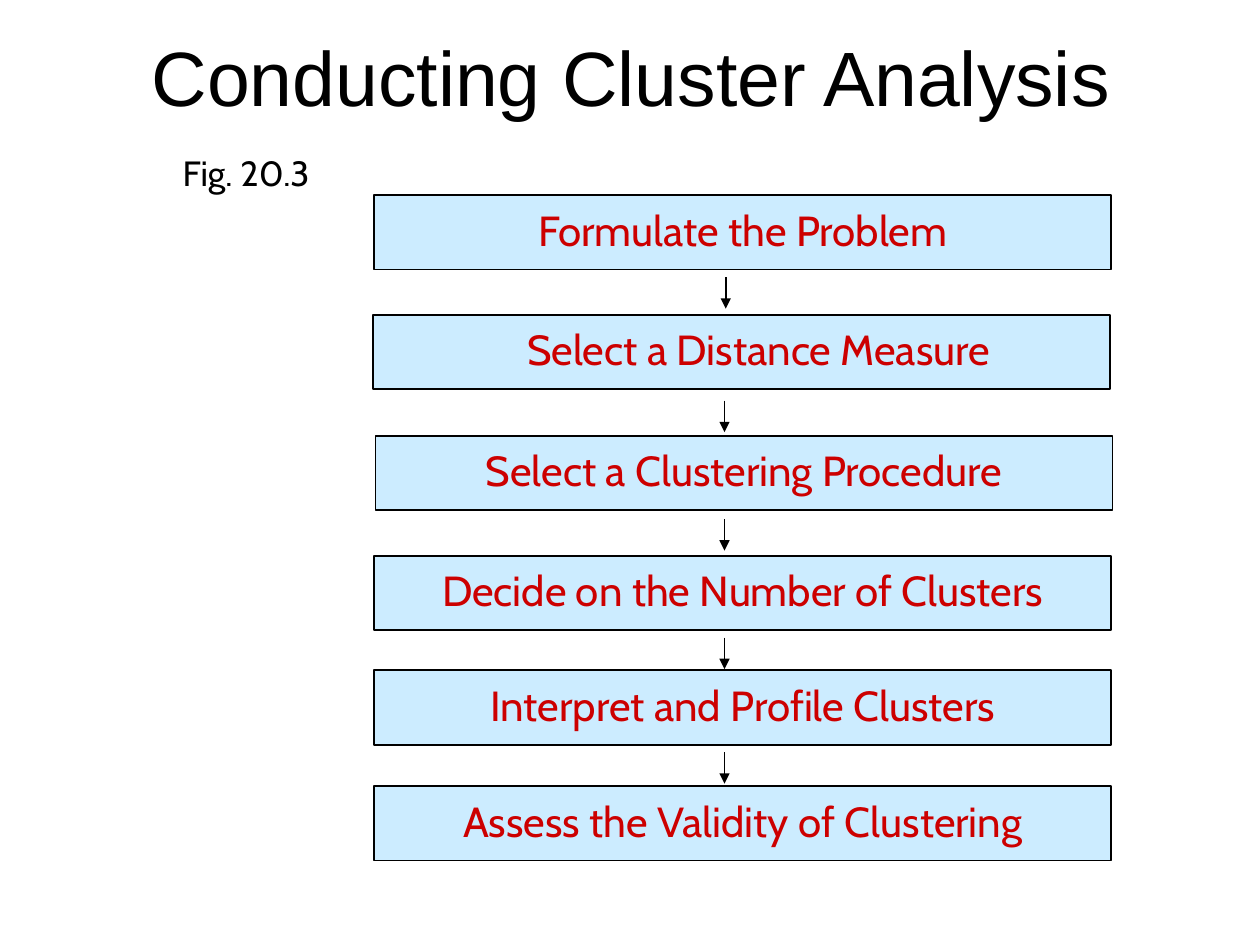
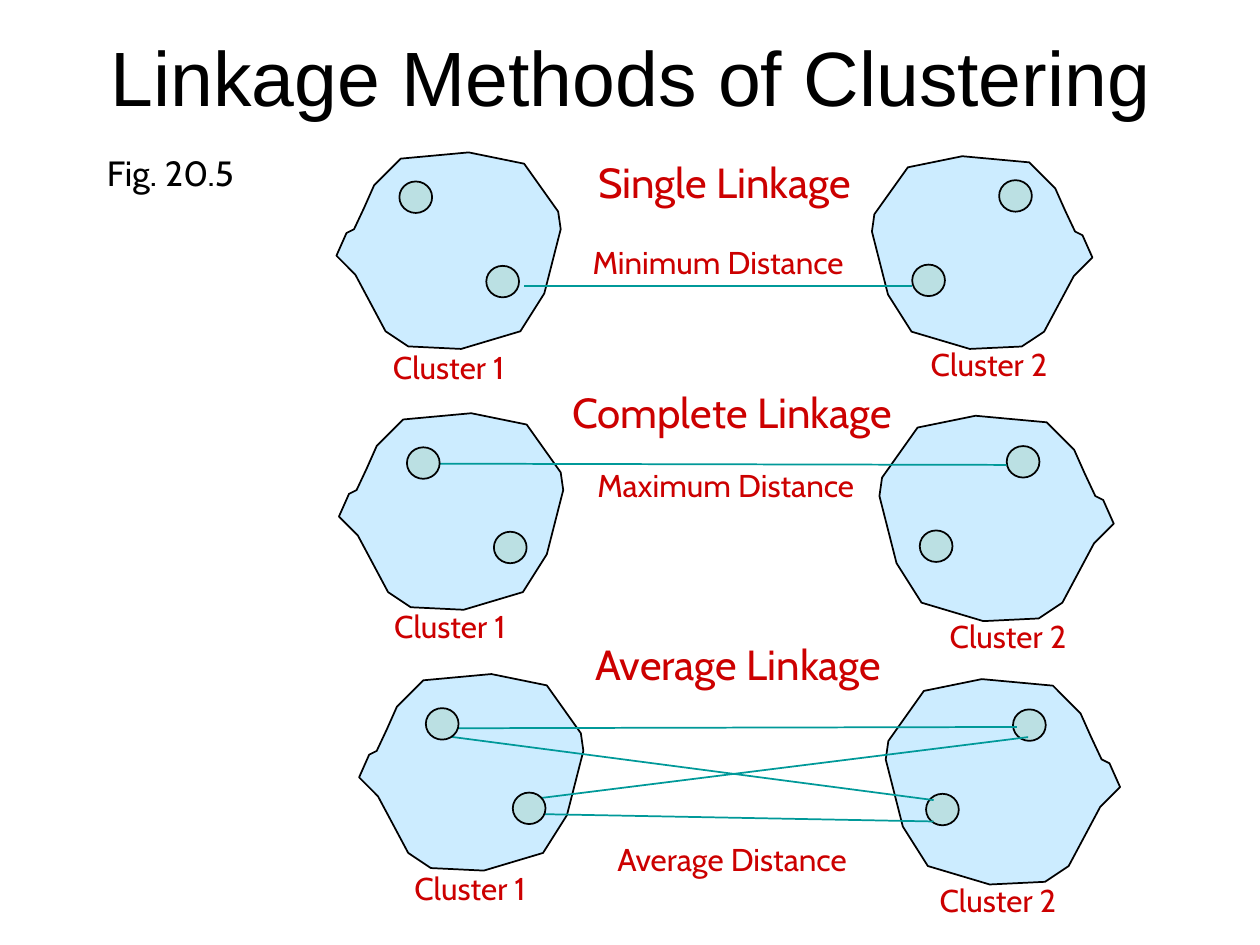
from dataclasses import dataclass
from typing import Optional

from lxml.etree import SubElement
from pptx import Presentation
from pptx.dml.color import RGBColor
from pptx.enum.shapes import MSO_CONNECTOR, MSO_SHAPE
from pptx.enum.text import MSO_ANCHOR, MSO_AUTO_SIZE, PP_ALIGN
from pptx.oxml.ns import qn
from pptx.util import Inches, Pt

BLACK = RGBColor(0x00, 0x00, 0x00)
RED = RGBColor(0xCC, 0x00, 0x00)
PALE_BLUE = RGBColor(0xCC, 0xEC, 0xFF)
DOT_BLUE = RGBColor(0xBB, 0xE0, 0xE3)
TEAL = RGBColor(0x00, 0x99, 0x99)
TITLE_FONT = "Arial"
LABEL_FONT = "Cabin"

STEP_WIDTH, STEP_HEIGHT = 5.85, 0.59
ARROW_LENGTH = 0.25
DOT_WIDTH, DOT_HEIGHT = 0.26, 0.25
NEAR_DOT_RIGHT, NEAR_DOT_DOWN = 0.69, 0.67
OUTLINE_WIDTH, OUTLINE_HEIGHT = 1.78, 1.56
OUTLINE = [
    (0.51, 0.05), (1.05, 0), (1.49, 0.09), (1.76, 0.47),
    (1.78, 0.61), (1.65, 1.12), (1.46, 1.42), (0.99, 1.56),
    (0.57, 1.54), (0.39, 1.42), (0.15, 0.97), (0, 0.82),
    (0.08, 0.64), (0.14, 0.61), (0.22, 0.44), (0.3, 0.26),
]


@dataclass
class Step:
    text: str
    left: float
    top: float
    arrow_top: Optional[float] = None
    arrow_x: float = 5.75
    text_indent: float = 0.1


@dataclass
class Label:
    text: str
    left: float
    top: float
    width: float
    size: int = 18
    color: RGBColor = RED
    align: PP_ALIGN = PP_ALIGN.CENTER


@dataclass
class Cluster:
    left: float
    top: float
    width: float
    height: float
    dot_left: float
    dot_top: float
    caption: Label
    mirrored: bool = False


@dataclass
class Linkage:
    heading: Label
    distance: Label
    first: Cluster
    second: Cluster
    lines: list


def caption(number: int, left: float, top: float) -> Label:
    return Label(f"Cluster {number}", left, top, 1.54)


def heading(text: str, left: float, top: float) -> Label:
    return Label(text, left, top, 3.92, 24)


STEPS = [
    Step("Formulate the Problem", 2.97, 1.55, 2.2, arrow_x=5.76),
    Step("Select a Distance Measure", 2.96, 2.5, 3.18, text_indent=0.37),
    Step("Select a Clustering Procedure", 2.98, 3.46, 4.12),
    Step("Decide on the Number of Clusters", 2.97, 4.41, 5.06),
    Step("Interpret and Profile Clusters", 2.97, 5.32, 5.97),
    Step("Assess the Validity of Clustering", 2.97, 6.24),
]

LINKAGES = [
    Linkage(
        heading("Single Linkage", 3.79, 1.19),
        Label("Minimum Distance", 4.57, 1.88, 2.26),
        Cluster(2.67, 1.21, 1.78, 1.56, 3.17, 1.44, caption(1, 2.79, 2.71)),
        Cluster(6.92, 1.24, 1.75, 1.53, 7.93, 1.43, caption(2, 7.08, 2.69), True),
        [(4.16, 2.27, 7.24, 2.27)],
    ),
    Linkage(
        heading("Complete Linkage", 3.85, 3.02),
        Label("Maximum Distance", 4.63, 3.65, 2.26),
        Cluster(2.69, 3.28, 1.78, 1.56, 3.23, 3.55, caption(1, 2.8, 4.77)),
        Cluster(6.98, 3.3, 1.86, 1.63, 7.99, 3.54, caption(2, 7.23, 4.85), True),
        [(3.45, 3.68, 7.99, 3.69)],
    ),
    Linkage(
        heading("Average Linkage", 3.9, 5.02),
        Label("Average Distance", 4.68, 6.62, 2.26),
        Cluster(2.85, 5.35, 1.78, 1.56, 3.38, 5.62, caption(1, 2.96, 6.85)),
        Cluster(7.03, 5.39, 1.86, 1.63, 8.04, 5.63, caption(2, 7.15, 6.94), True),
        [
            (4.22, 6.46, 7.41, 6.52),
            (3.51, 5.78, 8.07, 5.77),
            (3.52, 5.84, 7.41, 6.35),
            (8.16, 5.85, 4.16, 6.35),
        ],
    ),
]


def write(frame, text: str, font: str, size: int, color: RGBColor, align) -> None:
    frame.text = text
    para = frame.paragraphs[0]
    para.alignment = align
    para.font.name = font
    para.font.size = Pt(size)
    para.font.color.rgb = color


def style(shape, fill: RGBColor) -> None:
    shape.shadow.inherit = False
    shape.fill.solid()
    shape.fill.fore_color.rgb = fill
    shape.line.color.rgb = BLACK
    shape.line.width = Pt(1)


def add_label(page, label: Label) -> None:
    box = page.shapes.add_textbox(
        Inches(label.left), Inches(label.top), Inches(label.width), Inches(0.4)
    )
    box.text_frame.word_wrap = True
    write(box.text_frame, label.text, LABEL_FONT, label.size, label.color, label.align)


def add_line(page, ends: tuple, color: RGBColor, arrow: bool = False) -> None:
    line = page.shapes.add_connector(
        MSO_CONNECTOR.STRAIGHT, *(Inches(value) for value in ends)
    )
    line.line.color.rgb = color
    line.line.width = Pt(1)
    if arrow:
        SubElement(line.line._get_or_add_ln(), qn("a:tailEnd"), type="triangle")
    SubElement(line._element.spPr, qn("a:effectLst"))


def add_step(page, step: Step) -> None:
    box = page.shapes.add_shape(
        MSO_SHAPE.RECTANGLE,
        Inches(step.left), Inches(step.top), Inches(STEP_WIDTH), Inches(STEP_HEIGHT),
    )
    style(box, PALE_BLUE)
    frame = box.text_frame
    frame.vertical_anchor = MSO_ANCHOR.MIDDLE
    frame.margin_left = Inches(step.text_indent)
    frame.margin_bottom = Inches(0.1)
    write(frame, step.text, LABEL_FONT, 24, RED, PP_ALIGN.CENTER)
    if step.arrow_top is not None:
        ends = (step.arrow_x, step.arrow_top, step.arrow_x, step.arrow_top + ARROW_LENGTH)
        add_line(page, ends, BLACK, arrow=True)


def add_outline(page, cluster: Cluster) -> None:
    points = []
    for x, y in OUTLINE:
        across = x / OUTLINE_WIDTH
        if cluster.mirrored:
            across = 1 - across
        down = y / OUTLINE_HEIGHT
        points.append((
            Inches(cluster.left + across * cluster.width),
            Inches(cluster.top + down * cluster.height),
        ))
    builder = page.shapes.build_freeform(*points[0])
    builder.add_line_segments(points[1:], close=True)
    style(builder.convert_to_shape(), PALE_BLUE)
    add_label(page, cluster.caption)


def add_dots(page, cluster: Cluster) -> None:
    direction = -1 if cluster.mirrored else 1
    for index in range(2):
        dot = page.shapes.add_shape(
            MSO_SHAPE.OVAL,
            Inches(cluster.dot_left + index * direction * NEAR_DOT_RIGHT),
            Inches(cluster.dot_top + index * NEAR_DOT_DOWN),
            Inches(DOT_WIDTH), Inches(DOT_HEIGHT),
        )
        style(dot, DOT_BLUE)


def add_linkage(page, linkage: Linkage) -> None:
    add_outline(page, linkage.first)
    add_outline(page, linkage.second)
    add_dots(page, linkage.second)
    for ends in linkage.lines:
        add_line(page, ends, TEAL)
    add_dots(page, linkage.first)
    add_label(page, linkage.heading)
    add_label(page, linkage.distance)


def add_page(deck, title: str, figure: str, figure_left: float):
    page = deck.slides.add_slide(deck.slide_layouts[5])
    box = page.shapes.title
    box.left, box.top = Inches(0.75), Inches(0.17)
    box.width, box.height = Inches(8.52), Inches(0.86)
    frame = box.text_frame
    frame.auto_size = MSO_AUTO_SIZE.NONE
    frame.vertical_anchor = MSO_ANCHOR.MIDDLE
    write(frame, title, TITLE_FONT, 44, BLACK, PP_ALIGN.CENTER)
    add_label(page, Label(figure, figure_left, 1.15, 1.99, 20, BLACK, PP_ALIGN.LEFT))
    return page


def main() -> None:
    deck = Presentation()
    deck.slide_width, deck.slide_height = Inches(10), Inches(7.5)

    process = add_page(deck, "Conducting Cluster Analysis", "Fig. 20.3", 1.35)
    for step in STEPS:
        add_step(process, step)

    methods = add_page(deck, "Linkage Methods of Clustering", "Fig. 20.5", 0.75)
    for linkage in LINKAGES:
        add_linkage(methods, linkage)

    deck.save("out.pptx")


if __name__ == "__main__":
    main()
